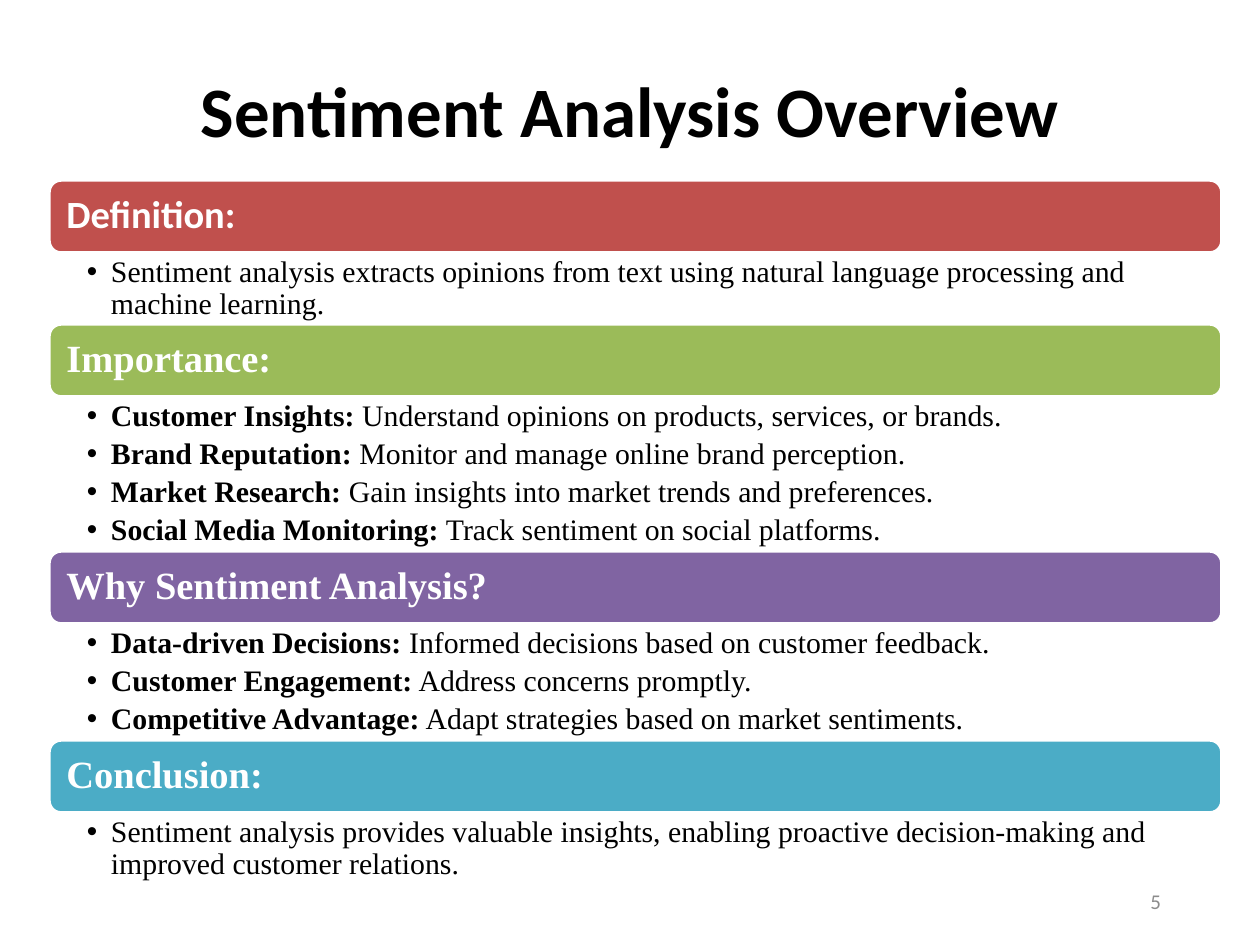
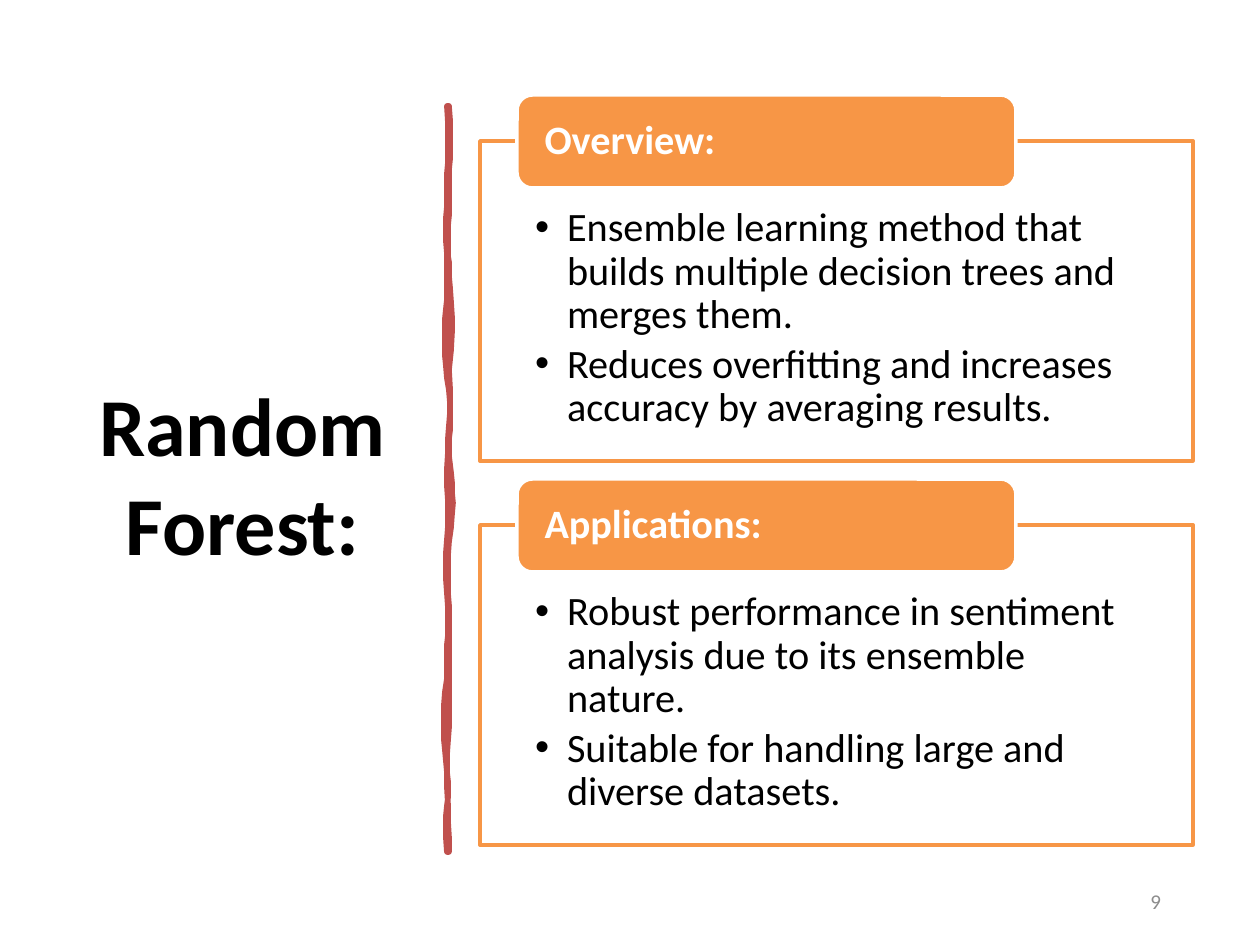
from lxml import etree
from pptx import Presentation
from pptx import util as u
from pptx.dml.color import RGBColor
from pptx.enum import shapes, text
from pptx.oxml.ns import qn

PX_PER_INCH = 126
TITLE_ONLY = 5
SANS, SERIF = "Calibri", "Times New Roman"
COLOURS = {
    "black": "000000", "white": "FFFFFF", "grey": "8C8C8C", "red": "C0504D",
    "green": "9BBB59", "purple": "8064A2", "aqua": "4BACC6", "orange": "F79646",
}

# Each bullet is a bold label and the words that follow it.
OVERVIEW = {
    "title": "Sentiment Analysis Overview", "title_box": (87, 77, 1086, 64),
    "title_size": 40.5, "number": "5",
}
# heading, heading font, bar colour, height of the bullets, bullets
OVERVIEW_SECTIONS = [
    ("Definition:", SANS, "red", 71, [
        ("", "Sentiment analysis extracts opinions from text using natural "
             "language processing and machine learning."),
    ]),
    ("Importance:", SERIF, "green", 154, [
        ("Customer Insights:", " Understand opinions on products, services, or brands."),
        ("Brand Reputation:", " Monitor and manage online brand perception."),
        ("Market Research:", " Gain insights into market trends and preferences."),
        ("Social Media Monitoring:", " Track sentiment on social platforms."),
    ]),
    ("Why Sentiment Analysis?", SERIF, "purple", 116, [
        ("Data-driven Decisions:", " Informed decisions based on customer feedback."),
        ("Customer Engagement:", " Address concerns promptly."),
        ("Competitive Advantage:", " Adapt strategies based on market sentiments."),
    ]),
    ("Conclusion:", SERIF, "aqua", 71, [
        ("", "Sentiment analysis provides valuable insights, enabling proactive "
             "decision-making and improved customer relations."),
    ]),
]

FOREST = {
    "title": "Random Forest:", "title_box": (66, 88, 353, 770),
    "title_size": 47, "number": "9",
}
FOREST_CARDS = [
    ("Overview:", [
        ("", "Ensemble learning method that builds multiple decision trees and merges them."),
        ("", "Reduces overfitting and increases accuracy by averaging results."),
    ]),
    ("Applications:", [
        ("", "Robust performance in sentiment analysis due to its ensemble nature."),
        ("", "Suitable for handling large and diverse datasets."),
    ]),
]
# Both sides of the hand-drawn divider: a start, then two controls and an end per curve.
DIVIDER_SIDES = [
    [(449, 106),
     (452, 142), (449, 160), (449, 192), (449, 228), (447, 248), (449, 262),
     (447, 272), (457, 320), (449, 370), (451, 420), (449, 432), (449, 456),
     (451, 476), (456, 503), (449, 542), (446, 583), (450, 600), (449, 650),
     (449, 703), (449, 697), (449, 728), (444, 759), (449, 814), (449, 852)],
    [(447, 852),
     (442, 813), (452, 796), (447, 772), (444, 743), (442, 716), (447, 679),
     (446, 640), (450, 633), (447, 593), (444, 556), (450, 525), (447, 486),
     (446, 438), (454, 410), (447, 378), (444, 345), (444, 326), (447, 300),
     (449, 271), (444, 234), (447, 207), (445, 178), (451, 152), (447, 106)],
]


def px(length):
    return u.Inches(length / PX_PER_INCH)


def colour(name):
    return RGBColor.from_string(COLOURS[name])


def set_attributes(target, values):
    for name, value in values.items():
        setattr(target, name, value)


def add_run(paragraph, words, size, font=SANS, fill="black", bold=False):
    run = paragraph.add_run()
    run.text = words
    set_attributes(run.font, {"size": u.Pt(size), "name": font, "bold": bold})
    run.font.color.rgb = colour(fill)


def format_frame(shape, insets=(13, 6, 13, 6), anchor=text.MSO_ANCHOR.MIDDLE):
    """Set wrapping, anchor and the left, top, right and bottom insets."""
    frame = shape.text_frame
    sides = ("margin_left", "margin_top", "margin_right", "margin_bottom")
    set_attributes(frame, {
        "word_wrap": True, "auto_size": text.MSO_AUTO_SIZE.NONE,
        "vertical_anchor": anchor, **dict(zip(sides, map(px, insets))),
    })
    return frame


def paint(shape, fill, line, width):
    shape.shadow.inherit = False
    shape.fill.solid()
    shape.fill.fore_color.rgb = colour(fill)
    shape.line.color.rgb = colour(line)
    shape.line.width = u.Pt(width)


def add_box(slide, kind, box, fill, line):
    shape = slide.shapes.add_shape(kind, *map(px, box))
    paint(shape, fill, line, 2)
    return shape


def add_heading(slide, box, words, fill, size, inset, font=SANS):
    bar = add_box(slide, shapes.MSO_SHAPE.ROUNDED_RECTANGLE, box, fill, "white")
    paragraph = format_frame(bar, (inset, 0, inset, 0)).paragraphs[0]
    set_attributes(paragraph, {"alignment": text.PP_ALIGN.LEFT, "line_spacing": 0.9})
    add_run(paragraph, words, size, font, "white", True)


def write_bullets(shape, bullets, insets, indent, size, font, gap):
    frame = format_frame(shape, insets, text.MSO_ANCHOR.TOP)
    for index, (label, words) in enumerate(bullets):
        paragraph = frame.add_paragraph() if index else frame.paragraphs[0]
        set_attributes(paragraph, {
            "alignment": text.PP_ALIGN.LEFT, "line_spacing": 0.9, "space_after": u.Pt(gap),
        })
        properties = paragraph._p.get_or_add_pPr()
        properties.set("marL", str(px(indent)))
        properties.set("indent", str(-px(indent)))
        etree.SubElement(properties, qn("a:buFont")).set("typeface", "Arial")
        etree.SubElement(properties, qn("a:buChar")).set("char", "•")
        if label:
            add_run(paragraph, label, size, font, bold=True)
        add_run(paragraph, words, size, font)


def add_titled_slide(presentation, content):
    """Add a slide with its title and page number."""
    slide = presentation.slides.add_slide(presentation.slide_layouts[TITLE_ONLY])
    title = slide.shapes.title
    set_attributes(title, dict(zip(("left", "top", "width", "height"),
                                   map(px, content["title_box"]))))
    paragraph = format_frame(title).paragraphs[0]
    paragraph.alignment = text.PP_ALIGN.CENTER
    add_run(paragraph, content["title"], content["title_size"], bold=True)

    number = slide.shapes.add_textbox(*map(px, (890, 876, 284, 50)))
    paragraph = format_frame(number).paragraphs[0]
    paragraph.alignment = text.PP_ALIGN.RIGHT
    add_run(paragraph, content["number"], 12, fill="grey")
    return slide


def curve_points(side, steps=8):
    """Return points along a chain of cubic curves."""
    points = [side[0]]
    for first in range(0, len(side) - 1, 3):
        a, b, c, d = side[first:first + 4]
        for step in range(1, steps + 1):
            t = step / steps
            s = 1 - t
            points.append(tuple(
                s**3 * a[i] + 3 * s * s * t * b[i] + 3 * s * t * t * c[i] + t**3 * d[i]
                for i in (0, 1)))
    return points


def add_divider(slide):
    points = [point for side in DIVIDER_SIDES for point in curve_points(side)]
    builder = slide.shapes.build_freeform(*points[0], scale=px(1))
    builder.add_line_segments(points[1:], close=True)
    paint(builder.convert_to_shape(), "red", "red", 3.25)


def build_overview(presentation):
    slide = add_titled_slide(presentation, OVERVIEW)
    left, top, width, bar_height = 49, 180, 1173, 73
    for heading, font, fill, height, bullets in OVERVIEW_SECTIONS:
        add_heading(slide, (left, top, width, bar_height), heading, fill, 22, 14, font)
        top += bar_height
        body = slide.shapes.add_textbox(*map(px, (left, top, width, height)))
        write_bullets(body, bullets, (38, 4, 21, 4), 24, 17, SERIF, 3.4)
        top += height


def build_forest(presentation):
    slide = add_titled_slide(presentation, FOREST)
    add_divider(slide)
    for index, (heading, bullets) in enumerate(FOREST_CARDS):
        top = 141 + 384 * index
        card = add_box(slide, shapes.MSO_SHAPE.RECTANGLE, (480, top, 713, 320),
                       "white", "orange")
        write_bullets(card, bullets, (55, 66, 55, 23), 32, 23, SANS, 3.4)
        add_heading(slide, (517, top - 46, 499, 93), heading, "orange", 23, 23)


def main():
    presentation = Presentation()
    set_attributes(presentation, {"slide_width": u.Inches(10), "slide_height": u.Inches(7.5)})
    build_overview(presentation)
    build_forest(presentation)
    presentation.save("out.pptx")


if __name__ == "__main__":
    main()
